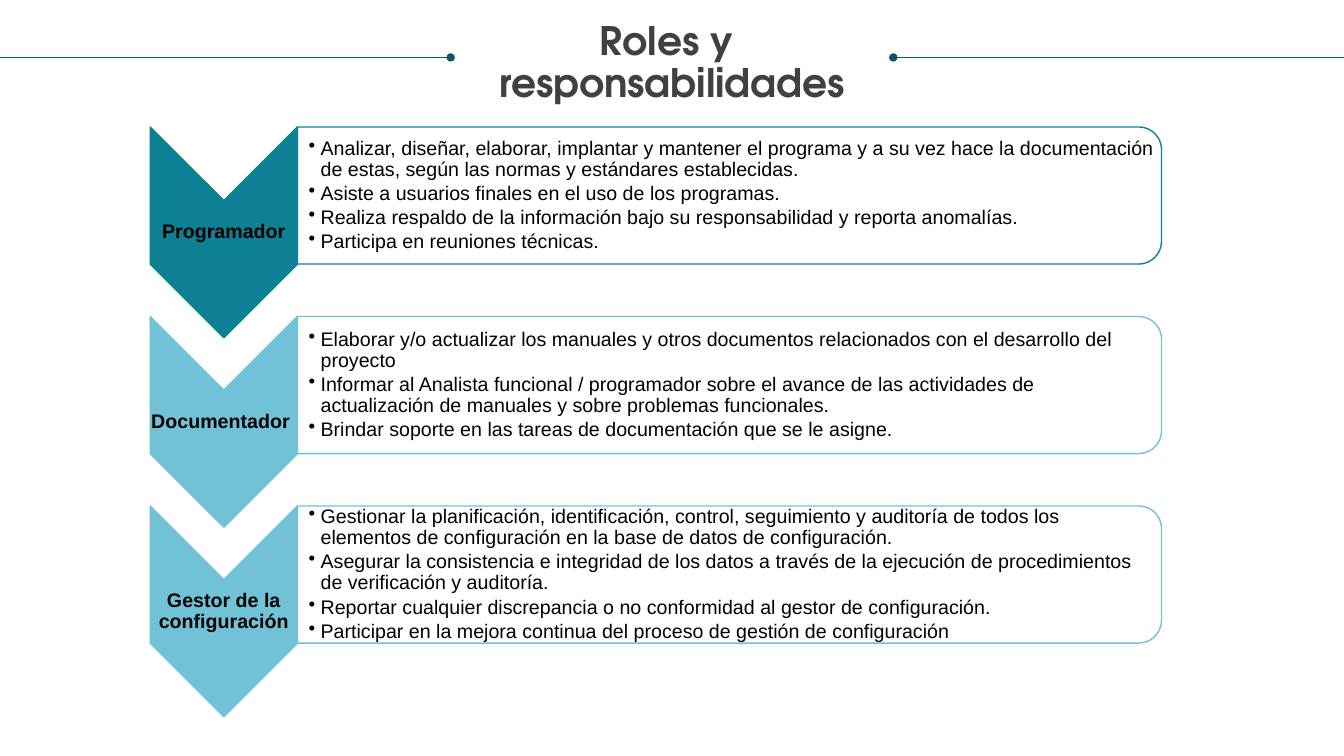
import lxml.etree
import pptx
import pptx.dml.color
import pptx.enum.shapes
import pptx.enum.text
import pptx.oxml.ns
import pptx.util

Inches, Pt = pptx.util.Inches, pptx.util.Pt
RGBColor = pptx.dml.color.RGBColor
SHAPE = pptx.enum.shapes.MSO_SHAPE
ALIGN = pptx.enum.text.PP_ALIGN
qn = pptx.oxml.ns.qn

TEAL = RGBColor(0x0D, 0x81, 0x93)
SKY = RGBColor(0x71, 0xC2, 0xD6)
RULE = RGBColor(0x08, 0x57, 0x64)
GREY = RGBColor(0x40, 0x40, 0x40)
BLACK = RGBColor(0, 0, 0)
WHITE = RGBColor(0xFF, 0xFF, 0xFF)

SLIDE_W, SLIDE_H = 13.33, 7.5
ROLES_LEFT, ROLES_TOP, ROLES_WIDTH = 1.49, 1.26, 10.03
ROW_PITCH = 1.88
CHEVRON_W, CHEVRON_H = 1.46, 2.09
LABEL_H = 0.63
PANEL_H, DUTIES_H = 1.36, 1.23

ROLES = [
    ("Programador", TEAL, ALIGN.CENTER, ALIGN.JUSTIFY, [
        "Analizar, diseñar, elaborar, implantar y mantener el programa y a su vez hace la "
        "documentación de estas, según las normas y estándares establecidas.",
        "Asiste a usuarios finales en el uso de los programas.",
        "Realiza respaldo de la información bajo su responsabilidad y reporta anomalías.",
        "Participa en reuniones técnicas.",
    ]),
    ("Documentador", SKY, ALIGN.JUSTIFY, ALIGN.LEFT, [
        "Elaborar y/o actualizar los manuales y otros documentos relacionados con el "
        "desarrollo del proyecto",
        "Informar al Analista funcional / programador sobre el avance de las actividades de "
        "actualización de manuales y sobre problemas funcionales.",
        "Brindar soporte en las tareas de documentación que se le asigne.",
    ]),
    ("Gestor de la configuración", SKY, ALIGN.CENTER, ALIGN.LEFT, [
        "Gestionar la planificación, identificación, control, seguimiento y auditoría de todos "
        "los elementos de configuración en la base de datos de configuración.",
        "Asegurar la consistencia e integridad de los datos a través de la ejecución de "
        "procedimientos de verificación y auditoría.",
        "Reportar cualquier discrepancia o no conformidad al gestor de configuración.",
        "Participar en la mejora continua del proceso de gestión de configuración",
    ]),
]


def add_text(slide, box, lines, align, size, font, color, bold=False, inset=0, left_inset=0, middle=True):
    """Add a wrapped text box with one paragraph per line and return its paragraphs."""
    frame = slide.shapes.add_textbox(*map(Inches, box)).text_frame
    frame.word_wrap = True
    frame.margin_top = frame.margin_right = frame.margin_bottom = Inches(inset)
    frame.margin_left = Inches(left_inset)
    anchor = pptx.enum.text.MSO_ANCHOR
    frame.vertical_anchor = anchor.MIDDLE if middle else anchor.TOP
    frame.text = "\n".join(lines)
    for paragraph in frame.paragraphs:
        paragraph.alignment = align
        paragraph.line_spacing = 0.9
        for run in paragraph.runs:
            run.font.size, run.font.name = Pt(size), font
            run.font.bold, run.font.color.rgb = bold, color
    return frame.paragraphs


def add_turned_shape(slide, kind, box, fill, line):
    """Add a shape turned a quarter clockwise so that it covers the given box."""
    left, top, width, height = box
    shift = (width - height) / 2
    shape = slide.shapes.add_shape(
        kind, *map(Inches, (left + shift, top - shift, height, width)))
    shape.rotation = 90
    shape.shadow.inherit = False
    shape.fill.solid()
    shape.fill.fore_color.rgb = fill
    shape.line.color.rgb = line
    shape.line.width = Pt(1)
    return shape


def add_dotted_rule(slide, start, end, y):
    """Draw a thin horizontal rule that ends in a dot."""
    rule = slide.shapes.add_connector(
        pptx.enum.shapes.MSO_CONNECTOR.STRAIGHT, *map(Inches, (start, y, end, y)))
    rule.line.color.rgb = RULE
    rule.line.width = Pt(0.5)
    properties = rule._element.spPr
    lxml.etree.SubElement(properties.find(qn("a:ln")), qn("a:tailEnd"), type="oval")
    lxml.etree.SubElement(properties, qn("a:effectLst"))


def add_header(slide, box):
    """Place the two-line heading between two dotted rules."""
    left, top, width, height = box
    rule_y = top + 0.57
    add_dotted_rule(slide, left, left + 4.47, rule_y)
    add_dotted_rule(slide, left + width, left + 8.86, rule_y)
    add_text(slide, (left + 0.25, top + 0.21, width - 0.5, height - 0.21),
             ["Roles y ", "responsabilidades"], ALIGN.CENTER, 28,
             "TeX Gyre Adventor", GREY, bold=True, middle=False)


def add_role(slide, box, role):
    """Place a role's chevron and label beside the panel that lists its duties."""
    left, top, width, height = box
    name, color, name_align, duties_align, duties = role
    panel_left, panel_width = left + CHEVRON_W, width - CHEVRON_W

    add_turned_shape(slide, SHAPE.CHEVRON, (left, top, CHEVRON_W, height), color, color)
    label_top = top + (height - LABEL_H) / 2
    add_text(slide, (left, label_top, CHEVRON_W, LABEL_H), [name], name_align, 14,
             "Arial", BLACK, bold=True, inset=0.01, left_inset=0.01)

    panel = add_turned_shape(slide, SHAPE.ROUND_2_SAME_RECTANGLE,
                             (panel_left, top, panel_width, PANEL_H), WHITE, color)
    tint = panel._element.spPr.find(qn("a:solidFill"))[0]
    lxml.etree.SubElement(tint, qn("a:alpha"), val="90000")
    duties_top = top + (PANEL_H - DUTIES_H) / 2
    paragraphs = add_text(slide, (panel_left, duties_top, panel_width - 0.06, DUTIES_H),
                          duties, duties_align, 14, "Arial", BLACK,
                          inset=0.01, left_inset=0.11)
    for paragraph in paragraphs:
        paragraph.space_after = Pt(2.1)
        properties = paragraph._p.get_or_add_pPr()
        properties.set("marL", str(Inches(0.12)))
        properties.set("indent", str(-Inches(0.12)))
        lxml.etree.SubElement(properties, qn("a:buChar"), char="•")


def main():
    """Build the slide of roles and responsibilities."""
    deck = pptx.Presentation()
    deck.slide_width, deck.slide_height = Inches(SLIDE_W), Inches(SLIDE_H)
    slide = deck.slides.add_slide(deck.slide_layouts[6])
    add_header(slide, (0, 0, SLIDE_W, 1.2))
    for row, role in enumerate(ROLES):
        add_role(slide, (ROLES_LEFT, ROLES_TOP + row * ROW_PITCH, ROLES_WIDTH, CHEVRON_H), role)
    deck.save("out.pptx")


if __name__ == "__main__":
    main()
